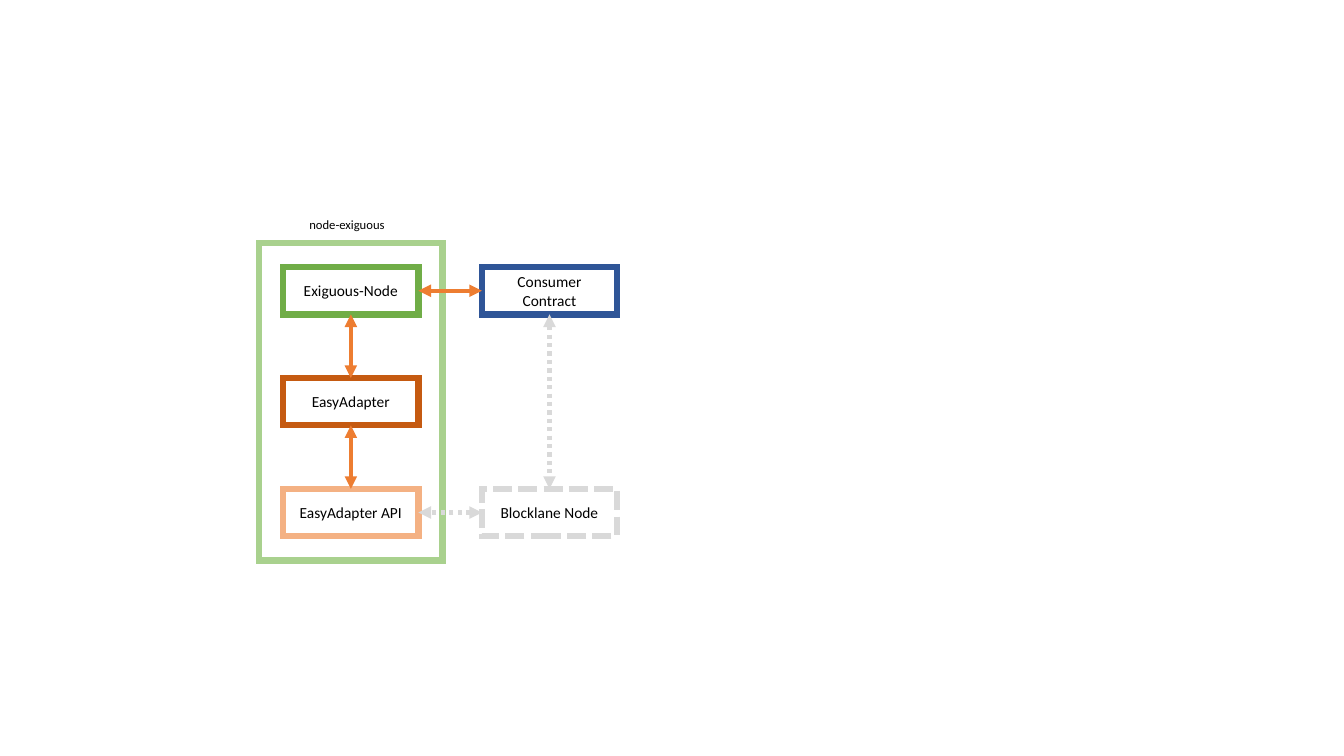
from dataclasses import dataclass
from typing import Optional

from lxml.etree import SubElement
from pptx import Presentation
from pptx.dml.color import RGBColor
from pptx.enum.dml import MSO_LINE_DASH_STYLE as Dash
from pptx.enum.shapes import MSO_CONNECTOR as Connector, MSO_SHAPE as Preset
from pptx.enum.text import MSO_ANCHOR as Anchor, PP_ALIGN as Align
from pptx.oxml.ns import qn
from pptx.slide import Slide
from pptx.shapes.autoshape import Shape
from pptx.text.text import TextFrame
from pptx.util import Inches, Pt

WHITE = RGBColor(0xFF, 0xFF, 0xFF)
BLACK = RGBColor(0x00, 0x00, 0x00)
GREY = RGBColor(0xD9, 0xD9, 0xD9)
LIGHT_GREEN = RGBColor(0xA9, 0xD1, 0x8E)
GREEN = RGBColor(0x70, 0xAD, 0x47)
BROWN = RGBColor(0xC5, 0x5A, 0x11)
PEACH = RGBColor(0xF4, 0xB1, 0x83)
BLUE = RGBColor(0x2F, 0x55, 0x97)
ORANGE = RGBColor(0xED, 0x7D, 0x31)

FONT = "Calibri"
GRID_LEFT, GRID_TOP = 2.81, 2.65
COLUMN_STEP, ROW_STEP = 1.97, 1.1
BOX_WIDTH, BOX_HEIGHT = 1.34, 0.47
FRAME_MARGIN = 0.24
TOP, LEFT, BOTTOM, RIGHT = range(4)


@dataclass(frozen=True)
class Node:
    text: str
    column: int
    row: int
    color: RGBColor
    dash: Optional[Dash] = None


@dataclass(frozen=True)
class Link:
    start: str
    start_side: int
    end: str
    end_side: int
    color: RGBColor = ORANGE
    dash: Optional[Dash] = None


NODES = {
    "oracle": Node("Blocklane Node", 1, 2, GREY, Dash.SQUARE_DOT),
    "exiguous": Node("Exiguous-Node", 0, 0, GREEN),
    "adapter": Node("EasyAdapter", 0, 1, BROWN),
    "consumer": Node("Consumer Contract", 1, 0, BLUE),
    "api": Node("EasyAdapter API", 0, 2, PEACH),
}
LINKS = [
    Link("oracle", LEFT, "api", RIGHT, GREY, Dash.ROUND_DOT),
    Link("adapter", TOP, "exiguous", BOTTOM),
    Link("consumer", LEFT, "exiguous", RIGHT),
    Link("consumer", BOTTOM, "oracle", TOP, GREY, Dash.ROUND_DOT),
    Link("api", TOP, "adapter", BOTTOM),
]


def write(frame: TextFrame, text: str, size: float, align: Align) -> None:
    frame.word_wrap = True
    para = frame.paragraphs[0]
    para.alignment = align
    span = para.add_run()
    span.text = text
    span.font.name = FONT
    span.font.size = Pt(size)
    span.font.color.rgb = BLACK


def add_outlined_box(page: Slide, left: float, top: float, width: float, height: float,
                     color: RGBColor, dash: Optional[Dash] = None) -> Shape:
    """Add a white rectangle with a thick, sharp-cornered outline."""
    box = page.shapes.add_shape(Preset.RECTANGLE, Inches(left), Inches(top),
                                Inches(width), Inches(height))
    box.shadow.inherit = False
    box.fill.solid()
    box.fill.fore_color.rgb = WHITE
    box.line.color.rgb = color
    box.line.width = Pt(4.5)
    if dash is not None:
        box.line.dash_style = dash
    SubElement(box.line._get_or_add_ln(), qn("a:miter"), lim="800000")
    return box


def add_node(page: Slide, node: Node) -> Shape:
    box = add_outlined_box(page, GRID_LEFT + node.column * COLUMN_STEP,
                           GRID_TOP + node.row * ROW_STEP,
                           BOX_WIDTH, BOX_HEIGHT, node.color, node.dash)
    box.text_frame.vertical_anchor = Anchor.MIDDLE
    write(box.text_frame, node.text, 11, Align.CENTER)
    return box


def add_link(page: Slide, link: Link, boxes: dict[str, Shape]) -> None:
    """Join two boxes with a double-headed arrow."""
    arrow = page.shapes.add_connector(Connector.STRAIGHT, 0, 0, 0, 0)
    arrow.begin_connect(boxes[link.start], link.start_side)
    arrow.end_connect(boxes[link.end], link.end_side)
    arrow.line.color.rgb = link.color
    arrow.line.width = Pt(3)
    if link.dash is not None:
        arrow.line.dash_style = link.dash
    outline = arrow.line._get_or_add_ln()
    for tag in ("a:miter", "a:headEnd", "a:tailEnd"):
        attributes = {"lim": "800000"} if tag == "a:miter" else {"type": "triangle"}
        SubElement(outline, qn(tag), attributes)
    SubElement(arrow._element.spPr, qn("a:effectLst"))


def main() -> None:
    deck = Presentation()
    deck.slide_width, deck.slide_height = Inches(13.33), Inches(7.5)
    page = deck.slides.add_slide(deck.slide_layouts[6])

    add_outlined_box(page, GRID_LEFT - FRAME_MARGIN, GRID_TOP - FRAME_MARGIN,
                     BOX_WIDTH + 2 * FRAME_MARGIN,
                     2 * ROW_STEP + BOX_HEIGHT + 2 * FRAME_MARGIN, LIGHT_GREEN)
    label = page.shapes.add_textbox(Inches(2.97), Inches(2.1), Inches(1.26), Inches(0.25))
    write(label.text_frame, "node-exiguous", 9, Align.LEFT)

    boxes = {name: add_node(page, node) for name, node in NODES.items()}
    for link in LINKS:
        add_link(page, link, boxes)

    deck.save("out.pptx")


if __name__ == "__main__":
    main()
